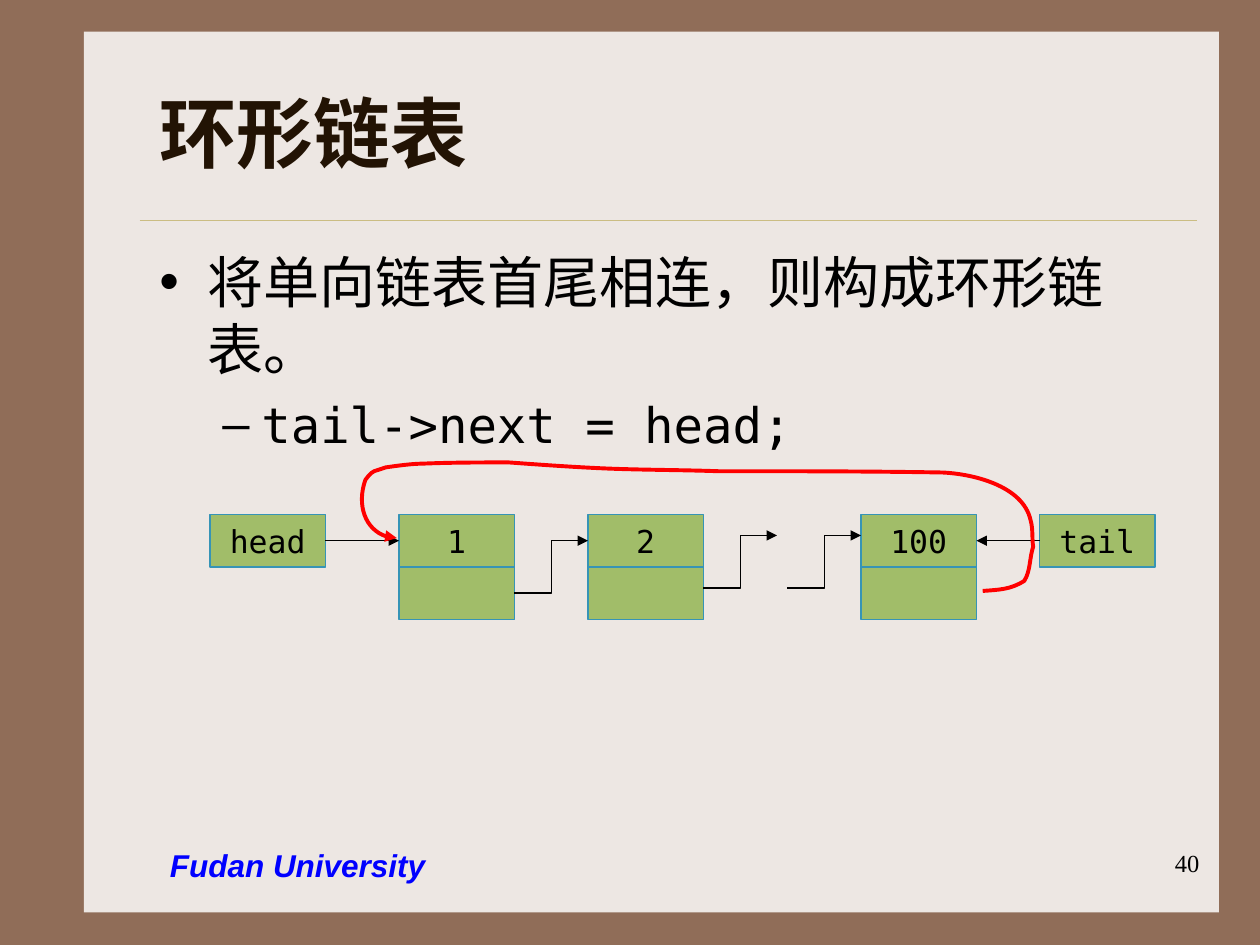
from lxml.etree import SubElement
from pptx import Presentation
from pptx.dml.color import RGBColor
from pptx.enum.shapes import MSO_CONNECTOR, MSO_SHAPE
from pptx.enum.text import MSO_ANCHOR, PP_ALIGN
from pptx.oxml.ns import qn
from pptx.util import Inches, Pt

BROWN = RGBColor(0x90, 0x6D, 0x58)
SHEET = RGBColor(0xED, 0xE7, 0xE3)
SAND = RGBColor(0xCB, 0xBD, 0x83)
DARK = RGBColor(0x22, 0x13, 0x04)
BLACK = RGBColor(0, 0, 0)
GREEN = RGBColor(0xA1, 0xBD, 0x69)
TEAL = RGBColor(0x36, 0x94, 0xB6)
RED = RGBColor(0xFF, 0, 0)
BLUE = RGBColor(0, 0, 0xFF)

MONO = "DejaVu Sans Mono"

# Cell size and the two rows of the list, in grid units
WIDE, HIGH = 11, 5
TOP, LOW = 49, 54

# Loop from the last cell back to the first: start, then Bezier triples in inches
START = (7.8, 4.69)
CURVES = [
    (7.93, 4.68), (8.02, 4.68), (8.13, 4.61),
    (8.18, 4.53), (8.17, 4.43), (8.2, 4.34),
    (8.19, 4.27), (8.2, 4.2), (8.18, 4.13),
    (8.12, 3.85), (7.71, 3.76), (7.48, 3.75),
    (6.89, 3.74), (6.3, 3.74), (5.7, 3.74),
    (5.42, 3.73), (5.14, 3.73), (4.86, 3.72),
    (4.59, 3.71), (4.31, 3.69), (4.04, 3.67),
    (3.81, 3.67), (3.58, 3.67), (3.35, 3.68),
    (3.25, 3.68), (3.06, 3.71), (3.06, 3.71),
    (3.03, 3.72), (3, 3.73), (2.97, 3.74),
    (2.94, 3.75), (2.9, 3.81), (2.9, 3.81),
    (2.83, 4.01), (2.92, 4.27), (3.15, 4.27),
]


def grid(*units):
    """Turn grid units, twelve to the inch, into lengths."""
    return [Inches(unit / 12) for unit in units]


def style(para, size, color, face=MONO, bold=False, slant=False):
    for run in para.runs:
        font = run.font
        font.size, font.name = Pt(size), face
        font.bold, font.italic = bold, slant
        font.color.rgb = color


def label(slide, place, text, size, color, align=PP_ALIGN.LEFT,
          anchor=MSO_ANCHOR.TOP, **look):
    frame = slide.shapes.add_textbox(*grid(*place)).text_frame
    frame.word_wrap = True
    frame.vertical_anchor = anchor
    para = frame.paragraphs[0]
    para.text, para.alignment = text, align
    style(para, size, color, **look)
    return frame


def bullet(para, mark, left, hang):
    props = para._p.get_or_add_pPr()
    props.set("marL", str(Inches(left)))
    props.set("indent", str(-Inches(hang)))
    props.set("hangingPunct", "0")
    SubElement(props, qn("a:buFont")).set("typeface", "Arial")
    SubElement(props, qn("a:buChar")).set("char", mark)


def box(slide, place, fill, edge=None, text=""):
    shape = slide.shapes.add_shape(MSO_SHAPE.RECTANGLE, *grid(*place))
    shape.shadow.inherit = False
    shape.fill.solid()
    shape.fill.fore_color.rgb = fill
    if edge is None:
        shape.line.fill.background()
    else:
        shape.line.color.rgb = edge
        shape.line.width = Pt(0.75)
    if text:
        frame = shape.text_frame
        frame.word_wrap = False
        frame.vertical_anchor = MSO_ANCHOR.MIDDLE
        frame.text = text
        frame.paragraphs[0].alignment = PP_ALIGN.CENTER
        style(frame.paragraphs[0], 18, BLACK)


def tip(shape):
    line = shape.element.find(".//" + qn("a:ln"))
    SubElement(line, qn("a:tailEnd")).set("type", "triangle")


def link(slide, ends, color=BLACK, width=0.75, arrow=True):
    kind = MSO_CONNECTOR.STRAIGHT if ends[1] == ends[3] else MSO_CONNECTOR.ELBOW
    line = slide.shapes.add_connector(kind, *grid(*ends))
    line.line.color.rgb = color
    line.line.width = Pt(width)
    if arrow:
        tip(line)
    SubElement(line.element.spPr, qn("a:effectLst"))


def bend(shape):
    """Join each three line steps of an outline into one Bezier curve."""
    route = shape.element.find(".//" + qn("a:path"))
    steps = route.findall(qn("a:lnTo"))
    for first in range(0, len(steps), 3):
        curve = SubElement(route, qn("a:cubicBezTo"))
        for step in steps[first:first + 3]:
            curve.append(step[0])
            route.remove(step)


def loop(slide):
    pen = slide.shapes.build_freeform(*map(Inches, START))
    pen.add_line_segments([(Inches(x), Inches(y)) for x, y in CURVES], close=False)
    shape = pen.convert_to_shape()
    bend(shape)
    shape.shadow.inherit = False
    shape.fill.background()
    shape.line.color.rgb = RED
    shape.line.width = Pt(2.25)
    tip(shape)


def main():
    deck = Presentation()
    deck.slide_width, deck.slide_height = Inches(10), Inches(7.5)
    slide = deck.slides.add_slide(deck.slide_layouts[6])

    # Backdrop
    slide.background.fill.solid()
    slide.background.fill.fore_color.rgb = BROWN
    box(slide, (8, 3, 108.1, 83.9), SHEET)
    link(slide, (13.3, 21, 114, 21), SAND, 0.25, arrow=False)

    # Title and body
    label(slide, (14, 5, 100, 15), "环形链表", 44, DARK,
          anchor=MSO_ANCHOR.MIDDLE, bold=True)
    body = label(slide, (14, 23, 100, 54),
                 "将单向链表首尾相连，则构成环形链表。", 32, BLACK)
    bullet(body.paragraphs[0], "•", 0.38, 0.38)
    code = body.add_paragraph()
    code.text, code.level = "tail->next = head;", 1
    code.space_before = Pt(7)
    bullet(code, "–", 0.81, 0.31)
    style(code, 28, BLACK)

    # List nodes, each a value over a pointer, and the two end pointers
    for left, text in ((38, "1"), (56, "2"), (82, "100")):
        box(slide, (left, TOP, WIDE, HIGH), GREEN, TEAL, text)
        box(slide, (left, LOW, WIDE, HIGH), GREEN, TEAL)
    for left, text in ((20, "head"), (99, "tail")):
        box(slide, (left, TOP, WIDE, HIGH), GREEN, TEAL, text)

    # Arrows
    mid = TOP + HIGH / 2
    link(slide, (31, mid, 38, mid))
    link(slide, (99, mid, 93, mid))
    for left, base in ((49, mid + HIGH), (67, 56), (75, 56)):
        link(slide, (left, base, left + 7, base - HIGH))
    loop(slide)

    # Footer
    label(slide, (15, 80, 34, 4.8), "Fudan University", 18, BLUE,
          face="Arial", bold=True, slant=True)
    label(slide, (90.4, 80.2, 25, 6), "40", 14, BLACK,
          align=PP_ALIGN.RIGHT, face="Times New Roman")

    deck.save("out.pptx")


if __name__ == "__main__":
    main()
